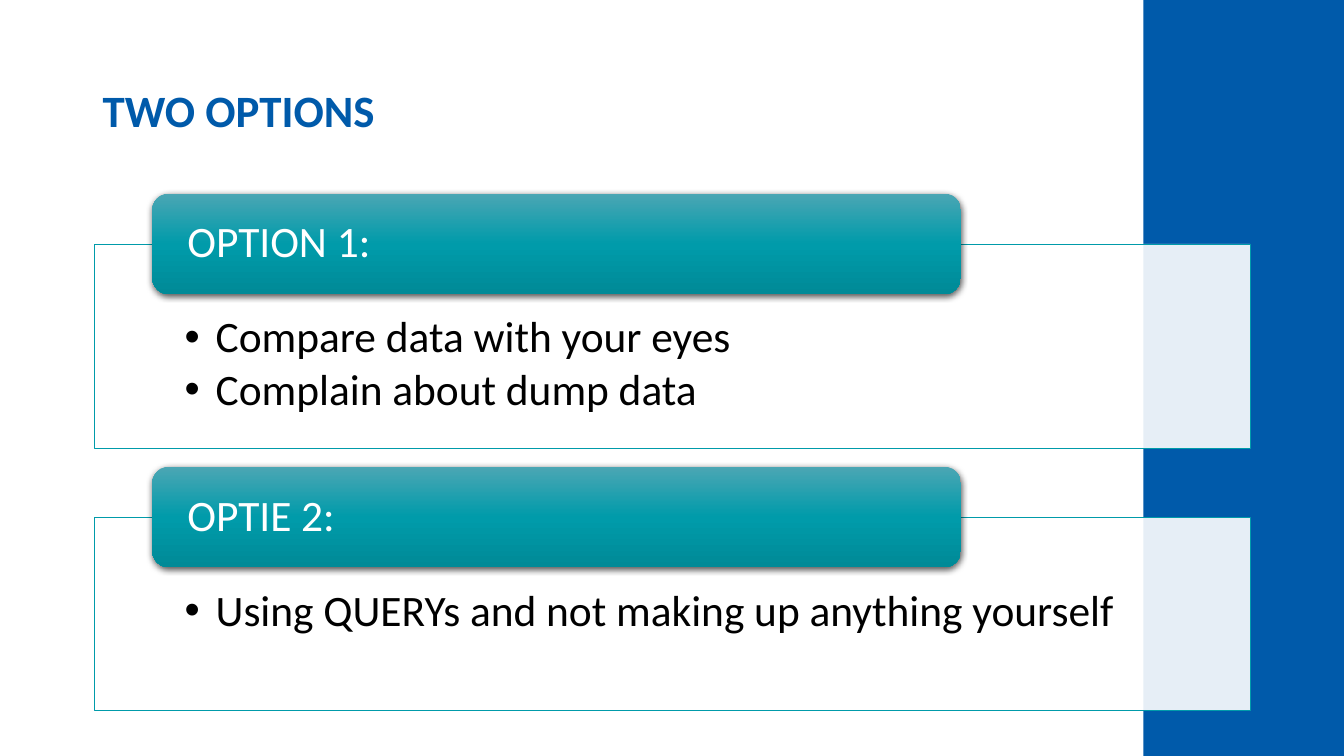
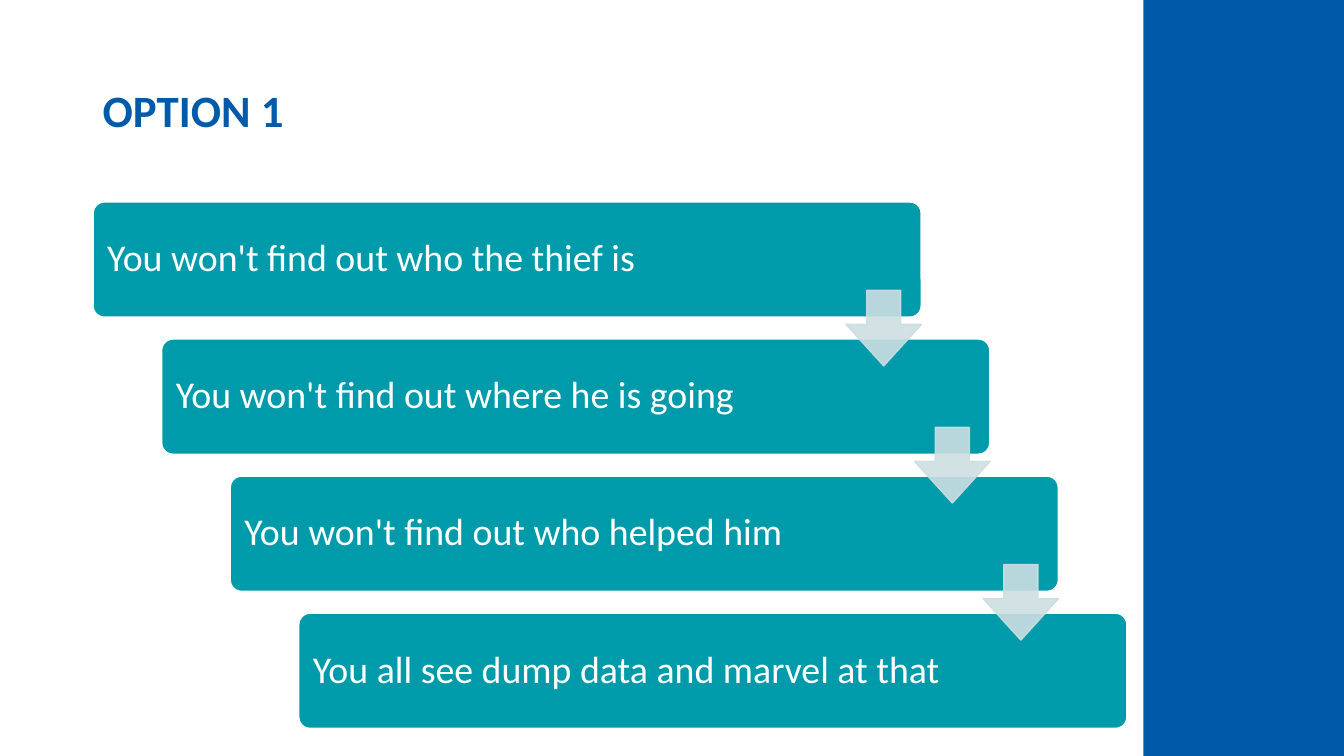
from copy import deepcopy
from dataclasses import dataclass

from pptx import Presentation
from pptx.dml.color import RGBColor as RGB
from pptx.enum.shapes import MSO_SHAPE as SHAPE
from pptx.enum.text import MSO_ANCHOR as ANCHOR, PP_ALIGN as ALIGN
from pptx.oxml import parse_xml
from pptx.oxml.ns import nsdecls, qn
from pptx.util import Inches, Pt


@dataclass(frozen=True)
class Theme:
    font: str = "Calibri"
    blue: str = "005AAA"
    teal: str = "009BAA"
    teal_light: str = "4BA6B4"
    teal_dark: str = "008A97"
    pale: str = "CCDEE2"
    white: str = "FFFFFF"
    black: str = "000000"
    title_size: int = 32
    option_size: int = 31
    step_size: int = 27


theme = Theme()


def add_box(slide, kind, place, fill=None, line=None, width=1, opacity=None, adjustments=()):
    shape = slide.shapes.add_shape(kind, *[Inches(length) for length in place])
    shape.shadow.inherit = False
    for index, value in enumerate(adjustments):
        shape.adjustments[index] = value
    if fill:
        shape.fill.solid()
        shape.fill.fore_color.rgb = RGB.from_string(fill)
        if opacity:
            color = shape.fill._xPr.find(qn("a:solidFill"))[0]
            color.append(parse_xml(f'<a:alpha {nsdecls("a")} val="{opacity * 1000}"/>'))
    if line:
        shape.line.color.rgb = RGB.from_string(line)
        shape.line.width = Pt(width)
    else:
        shape.line.fill.background()
    return shape


def write(shape, lines, size, color, insets, anchor=ANCHOR.MIDDLE, bold=False, bullet=False):
    frame = shape.text_frame
    left, top, right, bottom = [Inches(inset) for inset in insets]
    frame_format = {
        "word_wrap": True,
        "vertical_anchor": anchor,
        "margin_left": left,
        "margin_top": top,
        "margin_right": right,
        "margin_bottom": bottom,
    }
    for name, value in frame_format.items():
        setattr(frame, name, value)
    for index, text in enumerate(lines):
        paragraph = frame.paragraphs[0] if index == 0 else frame.add_paragraph()
        paragraph.text = text
        paragraph_format = {"alignment": ALIGN.LEFT, "line_spacing": 0.9}
        if bullet:
            paragraph_format["space_after"] = Pt(4)
        for name, value in paragraph_format.items():
            setattr(paragraph, name, value)
        font_format = {"name": theme.font, "size": Pt(size), "bold": bold}
        font = paragraph.runs[0].font
        for name, value in font_format.items():
            setattr(font, name, value)
        font.color.rgb = RGB.from_string(color)
        if bullet:
            properties = paragraph._p.get_or_add_pPr()
            properties.set("marL", str(Inches(0.31)))
            properties.set("indent", str(Inches(-0.31)))
            properties.append(parse_xml(f'<a:buFont {nsdecls("a")} typeface="Arial"/>'))
            properties.append(parse_xml(f'<a:buChar {nsdecls("a")} char="•"/>'))


presentation = Presentation()
presentation.slide_width = Inches(13.33)
presentation.slide_height = Inches(7.5)

slides = []
for title in ("TWO OPTIONS", "OPTION 1"):
    slide = presentation.slides.add_slide(presentation.slide_layouts[6])
    add_box(slide, SHAPE.RECTANGLE, (11.34, 0, 1.99, 7.5), theme.blue)
    title_box = slide.shapes.add_textbox(Inches(0.92), Inches(0.4), Inches(10.27), Inches(1.45))
    write(title_box, [title], theme.title_size, theme.blue, (0.1, 0.05, 0.1, 0.05), bold=True)
    slides.append(slide)
options_slide, steps_slide = slides

options = [
    ("OPTION 1:", 2.42, 2.03, ["Compare data with your eyes", "Complain about dump data"]),
    ("OPTIE 2:", 5.13, 1.92, ["Using QUERYs and not making up anything yourself"]),
]
for heading, top, height, points in options:
    panel = add_box(options_slide, SHAPE.RECTANGLE, (0.94, top, 11.46, height),
                    theme.white, theme.teal, 0.5, opacity=90)
    write(panel, points, theme.option_size, theme.black, (0.89, 0.71, 0.89, 0.24),
          ANCHOR.TOP, bullet=True)

    tab = add_box(options_slide, SHAPE.ROUNDED_RECTANGLE, (1.51, top - 0.5, 8.02, 1))
    tab.fill.gradient()
    tab.fill.gradient_angle = 270
    stop_list = tab._element.spPr.find(qn("a:gradFill")).find(qn("a:gsLst"))
    stop_list.append(deepcopy(stop_list[-1]))
    colors = (theme.teal_light, theme.teal, theme.teal_dark)
    for stop, position, color in zip(tab.fill.gradient_stops, (0, 0.5, 1), colors):
        stop.position = position
        stop.color.rgb = RGB.from_string(color)
    tab._element.spPr.find(qn("a:effectLst")).append(parse_xml(
        f'<a:outerShdw {nsdecls("a")} blurRad="{Pt(4.5)}" dist="{Pt(1.5)}" dir="5400000" '
        f'rotWithShape="0"><a:srgbClr val="{theme.black}"><a:alpha val="63000"/>'
        '</a:srgbClr></a:outerShdw>'))
    write(tab, [heading], theme.option_size, theme.white, (0.3, 0, 0.3, 0))

steps = [
    "You won't find out who the thief is",
    "You won't find out where he is going",
    "You won't find out who helped him",
    "You all see dump data and marvel at that",
]
step_left, step_top, step_width, step_height = 0.92, 2, 8.22, 1.15
shift_right, shift_down, arrow_size = 0.68, 1.36, 0.75
corners = [(step_left + shift_right * index, step_top + shift_down * index)
           for index in range(len(steps))]
for text, (left, top) in zip(steps, corners):
    step = add_box(steps_slide, SHAPE.ROUNDED_RECTANGLE, (left, top, step_width, step_height),
                   theme.teal, theme.white, 1.5, adjustments=(0.1,))
    write(step, [text], theme.step_size, theme.white, (0.11, 0.11, 0.11, 0.11))
for left, top in corners[:-1]:
    arrow_place = (left + step_width - arrow_size, top + 0.88, arrow_size, arrow_size)
    arrow = add_box(steps_slide, SHAPE.DOWN_ARROW, arrow_place, theme.pale, theme.pale,
                    opacity=90, adjustments=(0.45, 0.55))
    line_color = arrow._element.spPr.find(qn("a:ln")).find(qn("a:solidFill"))[0]
    line_color.append(parse_xml(f'<a:alpha {nsdecls("a")} val="90000"/>'))

presentation.save("out.pptx")
